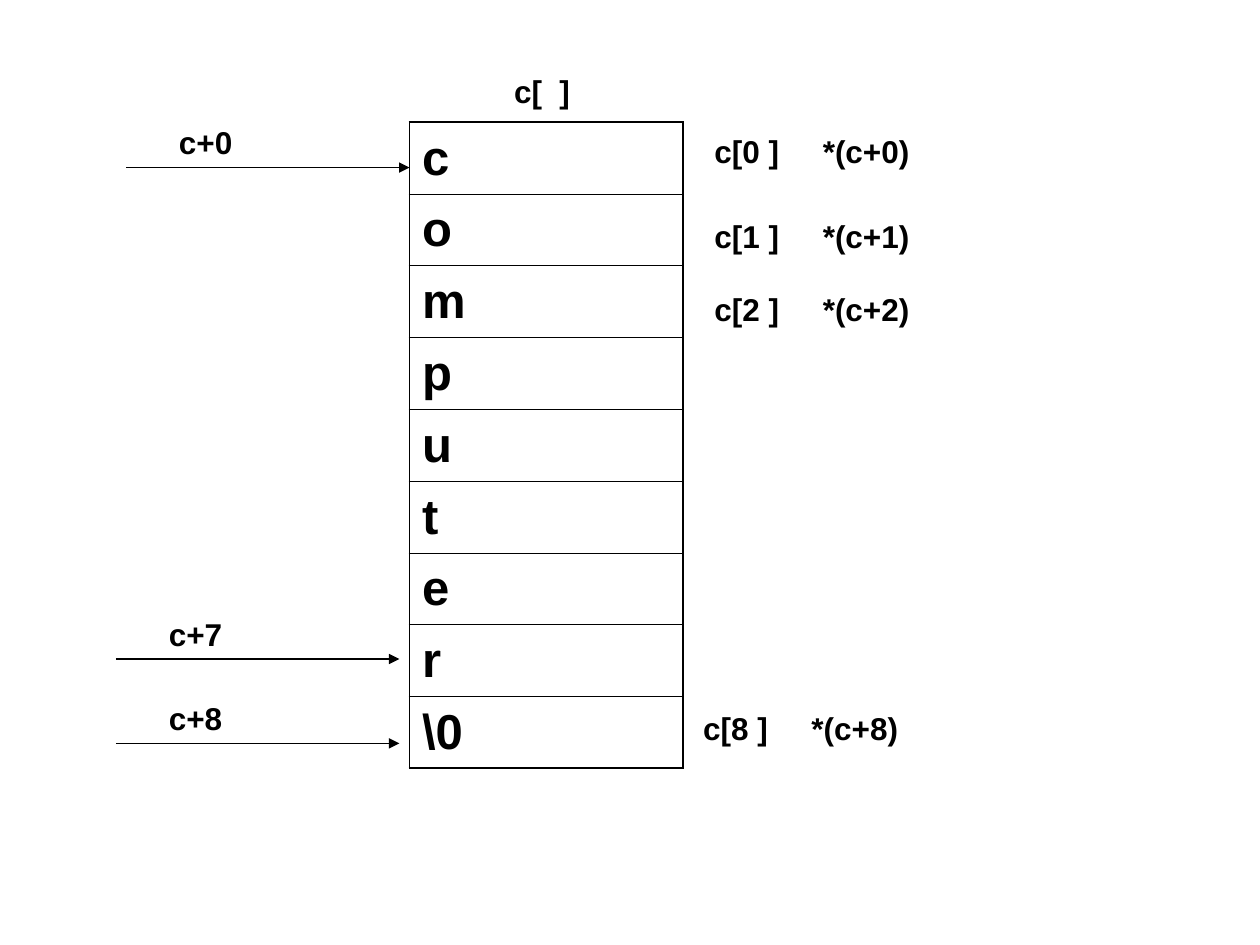
"""Build the slide showing how a C string is laid out in an array and addressed by pointers."""
from lxml import etree
from pptx import Presentation
from pptx.dml.color import RGBColor
from pptx.enum.shapes import MSO_CONNECTOR
from pptx.enum.text import MSO_ANCHOR
from pptx.oxml import parse_xml
from pptx.oxml.ns import nsdecls, qn
from pptx.util import Inches, Pt

THEME = {
    "font": "Arial", "ink": "000000", "cell_size": 28, "label_size": 18,
    "outer_line": 1.08, "inner_line": 0.45, "arrow_line": 0.75,
}

CHARACTERS = ["c", "o", "m", "p", "u", "t", "e", "r", "\\0"]
ARRAY_NAME = ("c[  ]", 4.08, 0.52)
POINTERS = [("c+0", 1, 1.33), ("c+7", 0.92, 5.23), ("c+8", 0.92, 5.9)]
ELEMENTS = [
    ("c[0 ]", "*(c+0)", 5.67, 1),
    ("c[1 ]", "*(c+1)", 5.67, 1.67),
    ("c[2 ]", "*(c+2)", 5.67, 2.25),
    ("c[8 ]", "*(c+8)", 5.58, 5.58),
]

ARRAY_LEFT, ARRAY_TOP, ARRAY_WIDTH, ROW_HEIGHT = 3.25, 0.97, 2.17, 0.57
ARROW_LENGTH, LABEL_HEIGHT, POINTER_INDENT = 2.25, 0.4, 0.42
EXPRESSION_TAB = 0.86


def add_run(paragraph, text, size):
    run = paragraph.add_run()
    run.text = text
    run.font.name = THEME["font"]
    run.font.size = Pt(size)
    run.font.bold = True
    run.font.color.rgb = RGBColor.from_string(THEME["ink"])


def add_label(slide, text, left, top, width, tab=None):
    label = slide.shapes.add_textbox(*map(Inches, (left, top, width, LABEL_HEIGHT)))
    frame = label.text_frame
    frame.word_wrap = True
    frame.margin_left = frame.margin_right = 0
    paragraph = frame.paragraphs[0]
    if tab:
        tabs = etree.SubElement(paragraph._p.get_or_add_pPr(), qn("a:tabLst"))
        etree.SubElement(tabs, qn("a:tab"), pos=str(Inches(tab)), algn="l")
    add_run(paragraph, text, THEME["label_size"])


def add_arrow(slide, left, y):
    arrow = slide.shapes.add_connector(
        MSO_CONNECTOR.STRAIGHT, *map(Inches, (left, y, left + ARROW_LENGTH, y)))
    arrow.line.width = Pt(THEME["arrow_line"])
    arrow.line.color.rgb = RGBColor.from_string(THEME["ink"])
    etree.SubElement(arrow.line._get_or_add_ln(), qn("a:tailEnd"), type="triangle")
    etree.SubElement(arrow._element.spPr, qn("a:effectLst"))


def set_borders(cell, top, bottom):
    outer = THEME["outer_line"]
    sides = {"lnL": outer, "lnR": outer, "lnT": top, "lnB": bottom}
    for position, (side, width) in enumerate(sides.items()):
        border = parse_xml(
            f'<a:{side} {nsdecls("a")} w="{Pt(width)}"><a:solidFill>'
            f'<a:srgbClr val="{THEME["ink"]}"/></a:solidFill></a:{side}>')
        cell._tc.get_or_add_tcPr().insert(position, border)


def add_array(slide):
    count = len(CHARACTERS)
    array = slide.shapes.add_table(count, 1, *map(
        Inches, (ARRAY_LEFT, ARRAY_TOP, ARRAY_WIDTH, ROW_HEIGHT * count))).table
    array.first_row = array.horz_banding = False
    outer, inner = THEME["outer_line"], THEME["inner_line"]
    for index, character in enumerate(CHARACTERS):
        array.rows[index].height = Inches(ROW_HEIGHT)
        cell = array.cell(index, 0)
        cell.fill.background()
        cell.vertical_anchor = MSO_ANCHOR.MIDDLE
        add_run(cell.text_frame.paragraphs[0], character, THEME["cell_size"])
        set_borders(cell, inner if index else outer,
                    outer if index == count - 1 else inner)


def main():
    presentation = Presentation()
    presentation.slide_width, presentation.slide_height = Inches(10), Inches(7.5)
    slide = presentation.slides.add_slide(presentation.slide_layouts[6])
    add_array(slide)
    add_label(slide, *ARRAY_NAME, 0.5)
    for pointer, left, y in POINTERS:
        add_arrow(slide, left, y)
        add_label(slide, pointer, left + POINTER_INDENT, y - LABEL_HEIGHT, 0.67)
    for element, expression, left, top in ELEMENTS:
        add_label(slide, f"{element}\t{expression}", left, top, 1.92, EXPRESSION_TAB)
    presentation.save("out.pptx")


if __name__ == "__main__":
    main()
